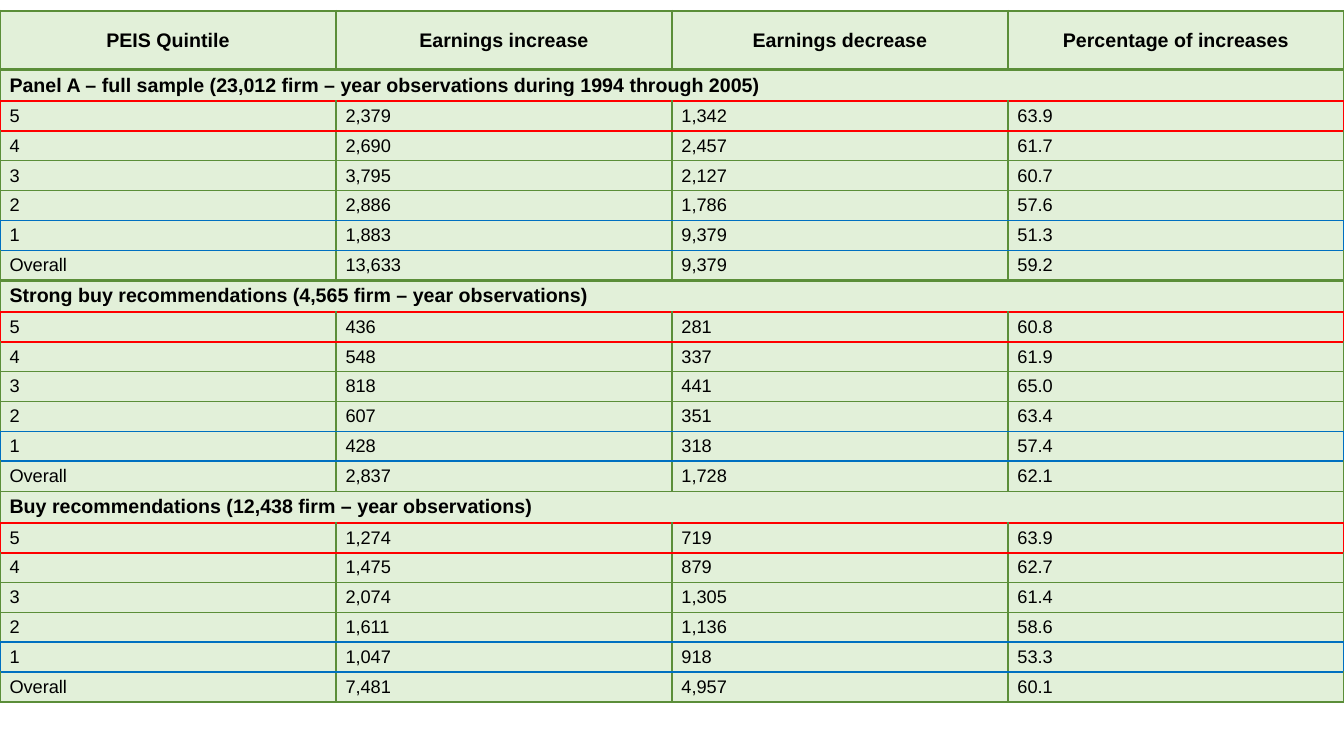
from dataclasses import dataclass

from lxml import etree
from pptx import Presentation
from pptx.dml.color import RGBColor
from pptx.enum.text import MSO_ANCHOR, PP_ALIGN
from pptx.oxml.ns import qn
from pptx.table import Table, _Cell
from pptx.util import Cm, Pt

CENTER, LEFT = PP_ALIGN.CENTER, PP_ALIGN.LEFT
MIDDLE, TOP = MSO_ANCHOR.MIDDLE, MSO_ANCHOR.TOP

FONT = "Arial"
COLORS = {
    "text": "000000",
    "fill": "E2F0D9",
    "grid": "5B8E39",
    "top_quintile": "FF0000",
    "bottom_quintile": "0070C0",
}
SLIDE_WIDTH, SLIDE_HEIGHT = 33.87, 19.05
TABLE_TOP = 0.28
HEADER_HEIGHT, ROW_HEIGHT = 1.47, 0.71
SIDE_MARGIN, END_MARGIN = 0.24, 0.12


@dataclass(frozen=True)
class Rule:
    color: str
    width: float


THIN = Rule(COLORS["grid"], 1)
THICK = Rule(COLORS["grid"], 2.25)
RED = Rule(COLORS["top_quintile"], 1.5)
BLUE = Rule(COLORS["bottom_quintile"], 1.5)


@dataclass(frozen=True)
class RowRules:
    above: Rule
    below: Rule
    edge: Rule = THICK


QUINTILE_RULES = {
    "5": RowRules(RED, RED, RED),
    "4": RowRules(RED, THIN),
    "3": RowRules(THIN, THIN),
    "2": RowRules(THIN, BLUE),
    "1": RowRules(BLUE, BLUE, BLUE),
}


@dataclass(frozen=True)
class Panel:
    heading: str
    rows: list[tuple[str, str, str, str]]
    above: Rule
    below: Rule


HEADERS = ("PEIS Quintile", "Earnings increase", "Earnings decrease", "Percentage of increases")
PANELS = [
    Panel(
        "Panel A – full sample (23,012 firm – year observations during 1994 through 2005)",
        [
            ("5", "2,379", "1,342", "63.9"),
            ("4", "2,690", "2,457", "61.7"),
            ("3", "3,795", "2,127", "60.7"),
            ("2", "2,886", "1,786", "57.6"),
            ("1", "1,883", "9,379", "51.3"),
            ("Overall", "13,633", "9,379", "59.2"),
        ],
        above=THICK,
        below=THICK,
    ),
    Panel(
        "Strong buy recommendations (4,565 firm – year observations)",
        [
            ("5", "436", "281", "60.8"),
            ("4", "548", "337", "61.9"),
            ("3", "818", "441", "65.0"),
            ("2", "607", "351", "63.4"),
            ("1", "428", "318", "57.4"),
            ("Overall", "2,837", "1,728", "62.1"),
        ],
        above=THICK,
        below=THIN,
    ),
    Panel(
        "Buy recommendations (12,438 firm – year observations)",
        [
            ("5", "1,274", "719", "63.9"),
            ("4", "1,475", "879", "62.7"),
            ("3", "2,074", "1,305", "61.4"),
            ("2", "1,611", "1,136", "58.6"),
            ("1", "1,047", "918", "53.3"),
            ("Overall", "7,481", "4,957", "60.1"),
        ],
        above=THIN,
        below=THICK,
    ),
]


def write_text(cell: _Cell, text: str, *, size: float = 13, bold: bool = False,
               align: PP_ALIGN = LEFT, anchor: MSO_ANCHOR = TOP) -> None:
    cell.vertical_anchor = anchor
    cell.margin_left = cell.margin_right = Cm(SIDE_MARGIN)
    cell.margin_top = cell.margin_bottom = Cm(END_MARGIN)
    paragraph = cell.text_frame.paragraphs[0]
    paragraph.alignment = align
    run = paragraph.add_run()
    run.text = text
    run.font.name = FONT
    run.font.size = Pt(size)
    run.font.bold = bold
    run.font.color.rgb = RGBColor.from_string(COLORS["text"])


def style_cell(cell: _Cell, **borders: Rule) -> None:
    properties = cell._tc.get_or_add_tcPr()
    for side in "LRTB":
        if side not in borders:
            continue
        rule = borders[side]
        line = etree.SubElement(properties, qn(f"a:ln{side}"), w=str(Pt(rule.width)))
        solid = etree.SubElement(line, qn("a:solidFill"))
        etree.SubElement(solid, qn("a:srgbClr"), val=rule.color)
    cell.fill.solid()
    cell.fill.fore_color.rgb = RGBColor.from_string(COLORS["fill"])


def fill_row(table: Table, row: int, texts: tuple[str, ...], rules: RowRules, **text_format) -> None:
    last = len(texts) - 1
    for column, text in enumerate(texts):
        cell = table.cell(row, column)
        style_cell(
            cell,
            L=rules.edge if column == 0 else THIN,
            R=rules.edge if column == last else THIN,
            T=rules.above,
            B=rules.below,
        )
        write_text(cell, text, **text_format)


def fill_heading(table: Table, row: int, panel: Panel) -> None:
    heading, *covered = [table.cell(row, column) for column in range(len(HEADERS))]
    heading.merge(covered[-1])
    style_cell(heading, L=THICK, R=panel.above, T=panel.above, B=RED)
    for cell in covered[:-1]:
        style_cell(cell, T=panel.above, B=RED)
    style_cell(covered[-1], R=panel.above, T=panel.above, B=RED)
    write_text(heading, panel.heading, size=14, bold=True)


def main() -> None:
    presentation = Presentation()
    presentation.slide_width = Cm(SLIDE_WIDTH)
    presentation.slide_height = Cm(SLIDE_HEIGHT)
    slide = presentation.slides.add_slide(presentation.slide_layouts[6])

    body_rows = sum(1 + len(panel.rows) for panel in PANELS)
    table = slide.shapes.add_table(
        1 + body_rows, len(HEADERS), Cm(0), Cm(TABLE_TOP),
        Cm(SLIDE_WIDTH), Cm(HEADER_HEIGHT + body_rows * ROW_HEIGHT),
    ).table
    table.horz_banding = False
    table.first_row = False
    for table_row in table.rows:
        table_row.height = Cm(ROW_HEIGHT)
    table.rows[0].height = Cm(HEADER_HEIGHT)

    fill_row(table, 0, HEADERS, RowRules(THICK, THICK),
             size=14, bold=True, align=CENTER, anchor=MIDDLE)
    row = 1
    for panel in PANELS:
        fill_heading(table, row, panel)
        overall_rules = RowRules(BLUE, panel.below)
        for row, values in enumerate(panel.rows, start=row + 1):
            fill_row(table, row, values, QUINTILE_RULES.get(values[0], overall_rules))
        row += 1

    presentation.save("out.pptx")


if __name__ == "__main__":
    main()
